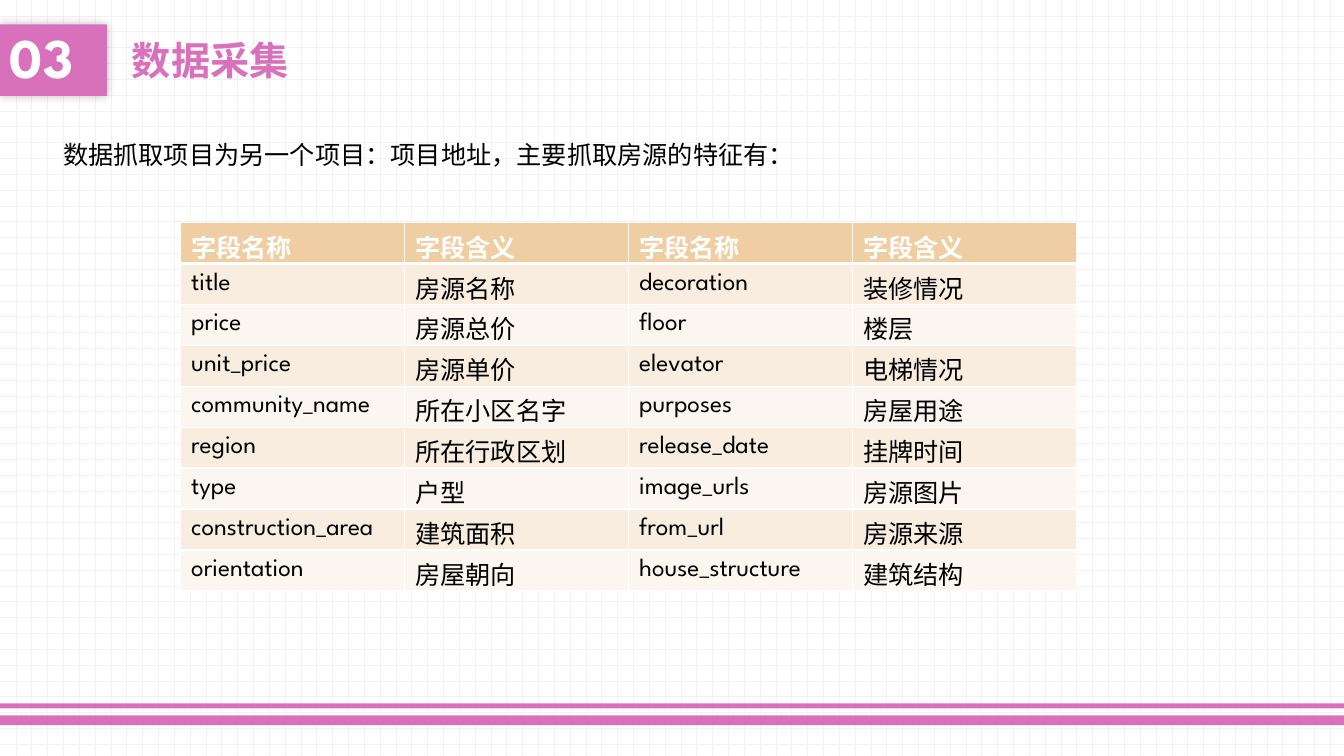
from lxml import etree
from pptx import Presentation
from pptx import util as u
from pptx.dml.color import RGBColor
from pptx.enum import dml, shapes, text
from pptx.oxml import parse_xml
from pptx.oxml.ns import nsdecls, qn

Pt = u.Pt
FONT = "League Spartan"
COLORS = {
    "pink": "D870BB",
    "white": "FFFFFF",
    "black": "000000",
    "grid": "F2F2F2",
    "header": "F0CEA3",
    "odd": "F9EDE0",
    "even": "FCF6F0",
}
FIELDS = [
    ("字段名称", "字段含义", "字段名称", "字段含义"),
    ("title", "房源名称", "decoration", "装修情况"),
    ("price", "房源总价", "floor", "楼层"),
    ("unit_price", "房源单价", "elevator", "电梯情况"),
    ("community_name", "所在小区名字", "purposes", "房屋用途"),
    ("region", "所在行政区划", "release_date", "挂牌时间"),
    ("type", "户型", "image_urls", "房源图片"),
    ("construction_area", "建筑面积", "from_url", "房源来源"),
    ("orientation", "房屋朝向", "house_structure", "建筑结构"),
]


def color(name):
    return RGBColor.from_string(COLORS[name])


def write(frame, words, size, ink, bold=False, before=0, spacing=None):
    frame.text = words
    line = frame.paragraphs[0]
    line.alignment = text.PP_ALIGN.LEFT
    line.space_before = Pt(before)
    line.line_spacing = spacing
    font = line.runs[0].font
    font.name, font.size, font.bold = FONT, Pt(size), bold
    font.color.rgb = color(ink)


def paint_background(slide):
    fill = slide.background.fill
    fill.patterned()
    fill.pattern = dml.MSO_PATTERN.DOTTED_GRID
    fill.fore_color.rgb = color("grid")
    fill.back_color.rgb = color("white")


def add_bar(slide, left, top, width, height):
    bar = slide.shapes.add_shape(
        shapes.MSO_SHAPE.RECTANGLE, Pt(left), Pt(top), Pt(width), Pt(height))
    bar.shadow.inherit = False
    bar.fill.solid()
    bar.fill.fore_color.rgb = color("pink")
    bar.line.fill.background()
    return bar


def add_badge(slide, number):
    badge = add_bar(slide, 0, 17.5, 76.5, 51)
    effects = badge._element.spPr.find(qn("a:effectLst"))
    shadow = etree.SubElement(effects, qn("a:outerShdw"),
                              blurRad=str(Pt(7)), dist="0", dir="0")
    black = etree.SubElement(shadow, qn("a:srgbClr"), val=COLORS["black"])
    etree.SubElement(black, qn("a:alpha"), val="25000")
    badge.text_frame.vertical_anchor = text.MSO_ANCHOR.MIDDLE
    write(badge.text_frame, number, 40, "white", True, 10, 0.9)


def place_title(slide, words):
    title = slide.shapes.title
    title.left, title.top = Pt(87), Pt(17.5)
    title.width, title.height = Pt(507), Pt(51)
    frame = title.text_frame
    frame.auto_size = text.MSO_AUTO_SIZE.NONE
    frame.vertical_anchor = text.MSO_ANCHOR.MIDDLE
    write(frame, words, 28, "pink", True, 10)


def add_intro(slide, words):
    intro = slide.shapes.add_textbox(Pt(38), Pt(95.8), Pt(556), Pt(29))
    intro.text_frame.word_wrap = True
    write(intro.text_frame, words, 18, "black")


def add_borders(cell, widths):
    properties = cell._tc.get_or_add_tcPr()
    for place, (side, width) in enumerate(widths.items()):
        properties.insert(place, parse_xml(
            f'<a:ln{side} {nsdecls("a")} w="{Pt(width)}"><a:solidFill>'
            f'<a:srgbClr val="{COLORS["white"]}"/></a:solidFill></a:ln{side}>'))


def add_field_table(slide):
    row_height, column_width = 29.25, 160
    rows, columns = len(FIELDS), len(FIELDS[0])
    table = slide.shapes.add_table(
        rows, columns, Pt(129), Pt(159),
        Pt(columns * column_width), Pt(rows * row_height)).table
    table.horz_banding = False
    for column in table.columns:
        column.width = Pt(column_width)
    for r, fields in enumerate(FIELDS):
        table.rows[r].height = Pt(row_height)
        is_header = r == 0
        band = "header" if is_header else "odd" if r % 2 else "even"
        for c, field in enumerate(fields):
            cell = table.cell(r, c)
            cell.margin_left = cell.margin_right = Pt(7.6)
            cell.margin_top = cell.margin_bottom = Pt(3.8)
            cell.vertical_anchor = text.MSO_ANCHOR.MIDDLE
            cell.fill.solid()
            cell.fill.fore_color.rgb = color(band)
            add_borders(cell, {"L": 1, "R": 1, "T": 3 if r == 1 else 1,
                               "B": 3 if is_header else 1})
            write(cell.text_frame, field, 18,
                  "white" if is_header else "black", is_header)


def main():
    deck = Presentation()
    deck.slide_width, deck.slide_height = Pt(960), Pt(540)
    slide = deck.slides.add_slide(deck.slide_layouts[5])
    paint_background(slide)
    for top, height in ((511, 7), (502.5, 3.5)):
        add_bar(slide, 0, top, 960, height)
    add_badge(slide, "03")
    place_title(slide, "数据采集")
    add_intro(slide, "数据抓取项目为另一个项目：项目地址，主要抓取房源的特征有：")
    add_field_table(slide)
    deck.save("out.pptx")


if __name__ == "__main__":
    main()
